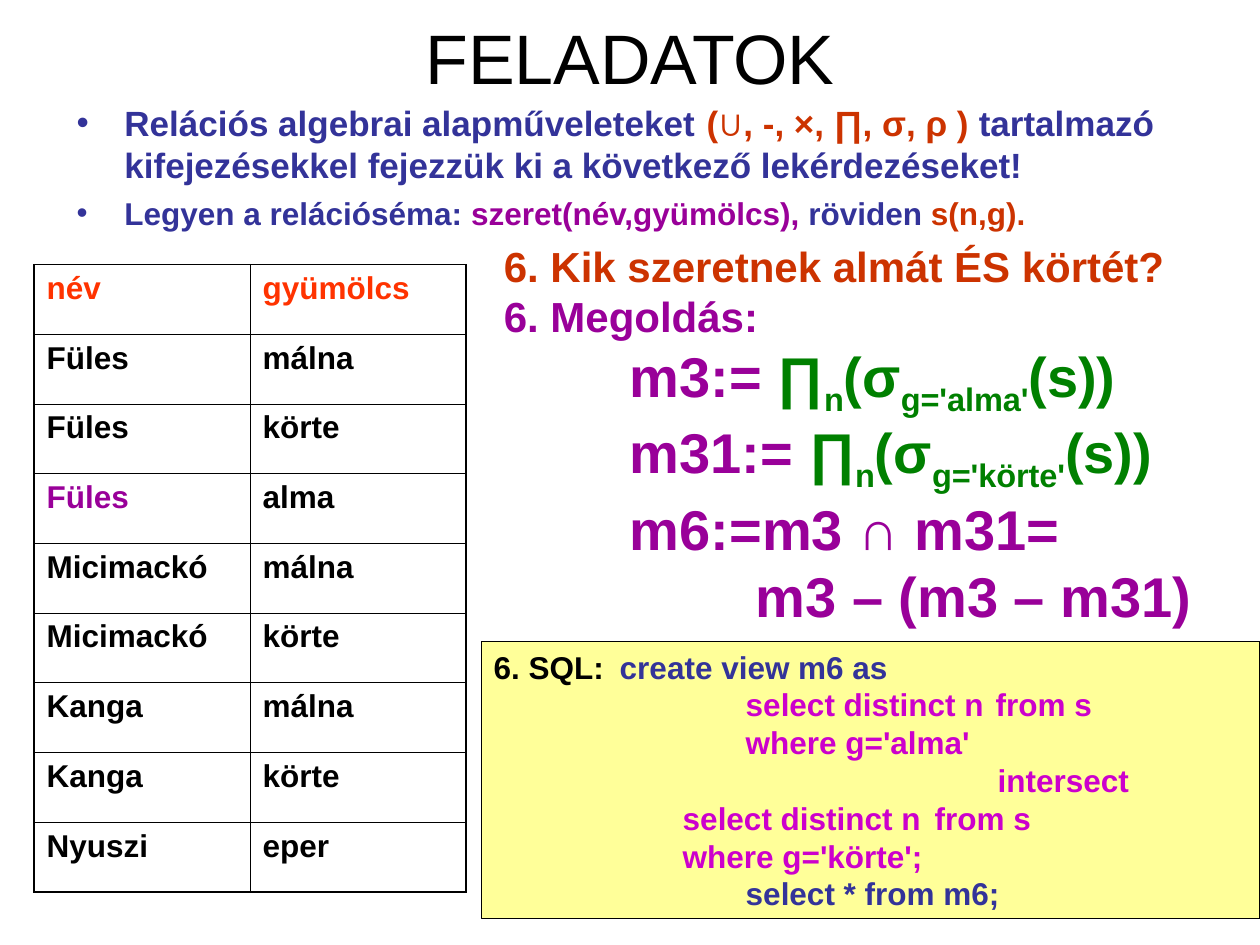
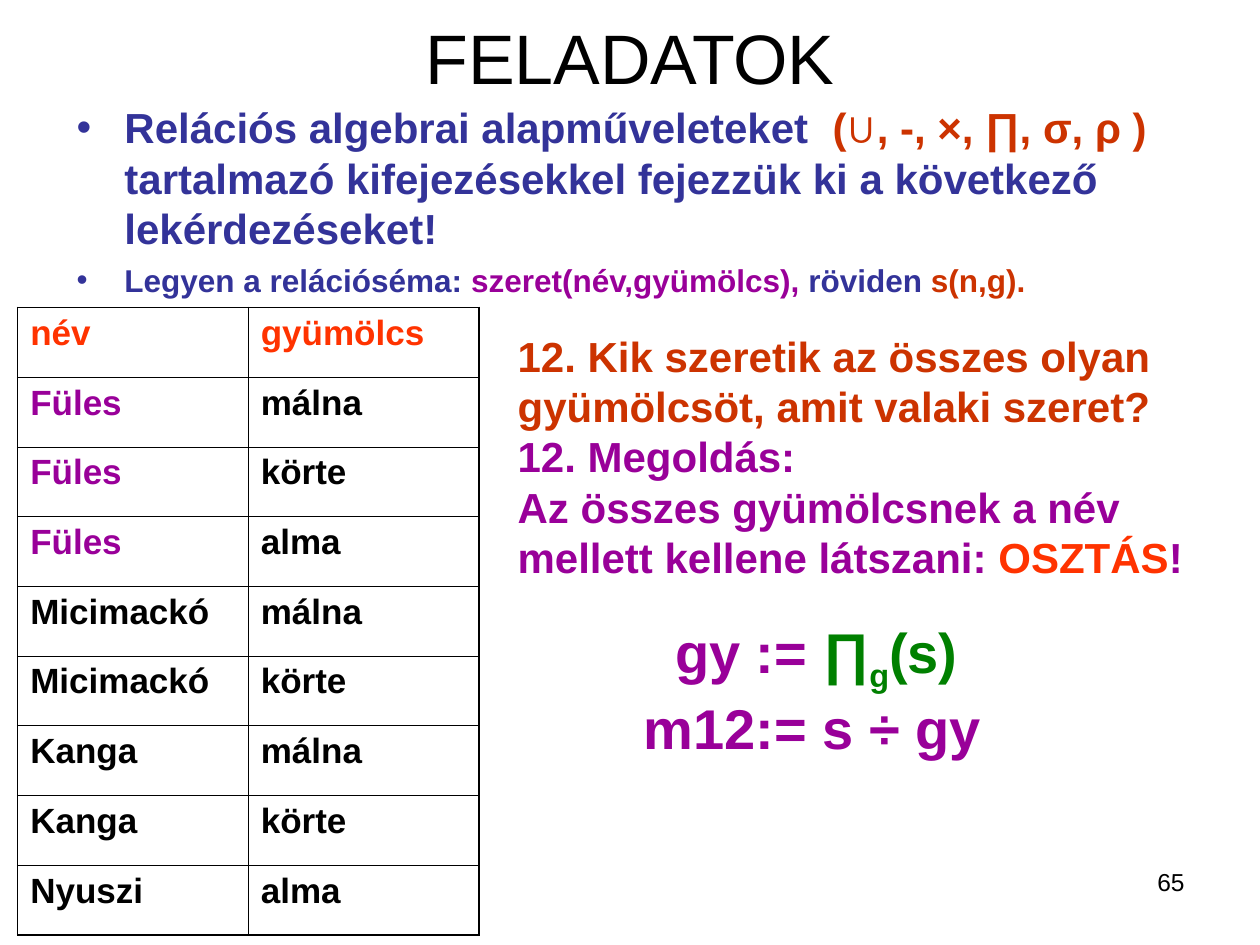
"""Build two exercise slides on relational algebra: a data table beside worked solutions."""
from lxml import etree
from pptx import Presentation, util as u
from pptx.dml.color import RGBColor
from pptx.enum import shapes, text
from pptx.oxml.ns import qn

BLACK = RGBColor(0x00, 0x00, 0x00)
BLUE = RGBColor(0x33, 0x33, 0x99)
RUST = RGBColor(0xCC, 0x33, 0x00)
RED = RGBColor(0xFF, 0x33, 0x00)
PURPLE = RGBColor(0x99, 0x00, 0x99)
GREEN = RGBColor(0x00, 0x80, 0x00)
MAGENTA = RGBColor(0xCC, 0x00, 0xCC)
YELLOW = RGBColor(0xFF, 0xFF, 0x99)

FONT = "Arial"
COLUMNS, ROWS = 100, 75
WIDTH, HEIGHT = u.Inches(10), u.Inches(7.5)
OUTER, INNER = u.Pt(1.08), u.Pt(0.45)
TITLE = "FELADATOK"
TITLE_AREA = (5, 3, 90, 3)
INTRO_AREA = (5.1, 7.6, 90, 67.4)
HEADINGS = ("név", "gyümölcs")


def line(*runs, size=24, indent=0, before=0, bullet=False):
    """Describe a paragraph whose runs are (text, colour) or (text, colour, "sub")."""
    return dict(runs=runs, size=size, indent=indent, before=before, bullet=bullet)


def formula(name, *parts, indent=1, before=0):
    """Describe a formula: a purple name, then green parts that alternate normal and subscript."""
    runs = [(part, GREEN, "sub") if i % 2 else (part, GREEN) for i, part in enumerate(parts)]
    return line((name, PURPLE), *runs, size=32, indent=indent, before=before)


def intro(size):
    """Describe the two bullets that open every exercise."""
    return [
        line(("Relációs algebrai alapműveleteket\t", BLUE), ("(∪, -, ×, ∏, σ, ρ )", RUST),
             (" tartalmazó kifejezésekkel fejezzük ki a következő lekérdezéseket!", BLUE),
             size=size, indent=0.38, bullet=True),
        line(("Legyen a relációséma: ", BLUE), ("szeret(név,gyümölcs), ", PURPLE),
             ("röviden ", BLUE), ("s(n,g).", RUST),
             size=18, indent=0.38, before=4.5, bullet=True),
    ]


def likes(last_fruit):
    """List who likes which fruit."""
    return [("Füles", "málna"), ("Füles", "körte"), ("Füles", "alma"),
            ("Micimackó", "málna"), ("Micimackó", "körte"),
            ("Kanga", "málna"), ("Kanga", "körte"), ("Nyuszi", last_fruit)]


def sql(code, colour, indent):
    """Describe one line of the query."""
    return line((code, colour), size=18, indent=indent)


EXERCISES = [
    dict(
        intro_size=20,
        table=dict(area=(2.7, 21, 34.3, 49.8), size=18, rows=likes("eper"), marked={3}),
        boxes=[
            dict(area=(39, 18.6, 59.9, 31.8), lines=[
                line(("6. Kik szeretnek almát ÉS körtét?", RUST)),
                line(("6. Megoldás:", PURPLE)),
                formula("m3:= ", "∏", "n", "(σ", "g='alma'", "(s))"),
                formula("m31:= ", "∏", "n", "(σ", "g='körte'", "(s))"),
                formula("m6:=m3 ∩ m31="),
                formula("m3 – (m3 – m31)", indent=2),
            ]),
            dict(area=(38.2, 50.9, 61.8, 22), fill=YELLOW, lines=[
                line(("6. SQL:\t", BLACK), ("create view m6 as", BLUE), size=18),
                sql("select distinct n\tfrom s", MAGENTA, 2),
                sql("where g='alma'", MAGENTA, 2),
                sql("intersect", MAGENTA, 4),
                sql("\tselect distinct n\tfrom s", MAGENTA, 1),
                sql("\twhere g='körte';", MAGENTA, 1),
                sql("select * from m6;", BLUE, 2),
            ]),
        ],
    ),
    dict(
        intro_size=24,
        table=dict(area=(1.4, 24.4, 36.6, 49.8), size=20, rows=likes("alma"), marked={1, 2, 3}),
        boxes=[
            dict(area=(40.1, 25.7, 59.9, 40.5), lines=[
                line(("12. Kik szeretik az összes olyan gyümölcsöt, amit valaki szeret?", RUST)),
                line(("12. Megoldás:", PURPLE)),
                line(("Az összes gyümölcsnek a név mellett kellene látszani: ", PURPLE),
                     ("OSZTÁS", RED), ("!", PURPLE)),
                formula("gy := ", "∏", "g", "(s)", indent=1.25, before=20),
                formula("m12:= s ÷ gy"),
            ]),
        ],
        number="65",
    ),
]


def place(area):
    """Turn grid columns and rows into slide lengths."""
    left, top, width, height = area
    return (round(left * WIDTH / COLUMNS), round(top * HEIGHT / ROWS),
            round(width * WIDTH / COLUMNS), round(height * HEIGHT / ROWS))


def apply(target, values):
    """Set each named attribute of the target."""
    for name, value in values.items():
        setattr(target, name, value)


def add_span(para, words, colour, size, bold=True):
    """Append one formatted run."""
    span = para.add_run()
    span.text = words
    apply(span.font, dict(name=FONT, size=u.Pt(size), bold=bold))
    span.font.color.rgb = colour
    return span


def add_bullet(props):
    """Add a blue round bullet to paragraph properties."""
    colour = etree.SubElement(props, qn("a:buClr"))
    etree.SubElement(colour, qn("a:srgbClr"), val=str(BLUE))
    etree.SubElement(props, qn("a:buFont"), typeface=FONT)
    etree.SubElement(props, qn("a:buChar"), char="•")


def add_tabs(props, indent):
    """Add a tab stop at every whole inch to the right of the indent."""
    tabs = etree.SubElement(props, qn("a:tabLst"))
    for inch in range(int(indent) + 1, int(indent) + 9):
        etree.SubElement(tabs, qn("a:tab"), pos=str(u.Inches(inch)), algn="l")


def write_lines(frame, lines):
    """Fill a text frame with the described paragraphs."""
    apply(frame, dict(word_wrap=True, auto_size=text.MSO_AUTO_SIZE.NONE,
                      vertical_anchor=text.MSO_ANCHOR.TOP))
    for index, item in enumerate(lines):
        para = frame.add_paragraph() if index else frame.paragraphs[0]
        props = para._p.get_or_add_pPr()
        margin = u.Inches(item["indent"])
        props.set("marL", str(margin))
        props.set("indent", str(-margin if item["bullet"] else 0))
        if item["bullet"]:
            add_bullet(props)
        add_tabs(props, item["indent"])
        apply(para, dict(alignment=text.PP_ALIGN.LEFT, space_before=u.Pt(item["before"])))
        for words, colour, *sub in item["runs"]:
            span = add_span(para, words, colour, item["size"])
            if sub:
                span._r.get_or_add_rPr().set("baseline", "-25000")


def add_box(page, area, lines, fill=None):
    """Add a text box, or an outlined rectangle when a fill is given."""
    if fill is None:
        box = page.shapes.add_textbox(*place(area))
    else:
        box = page.shapes.add_shape(shapes.MSO_SHAPE.RECTANGLE, *place(area))
        box.shadow.inherit = False
        box.fill.solid()
        box.fill.fore_color.rgb = fill
        box.line.color.rgb = BLACK
        box.line.width = u.Pt(0.75)
    write_lines(box.text_frame, lines)


def set_borders(cell, widths):
    """Draw black cell borders with the given width per side."""
    props = cell._tc.get_or_add_tcPr()
    for side, width in widths.items():
        edge = etree.SubElement(props, qn(f"a:ln{side}"), w=str(width))
        fill = etree.SubElement(edge, qn("a:solidFill"))
        etree.SubElement(fill, qn("a:srgbClr"), val=str(BLACK))


def add_fruit_table(page, area, size, rows, marked):
    """Add the table of names and fruits, with the names in marked rows in purple."""
    data = [HEADINGS, *rows]
    last_row, last_column = len(data) - 1, len(HEADINGS) - 1
    left, top, width, height = place(area)
    table = page.shapes.add_table(len(data), len(HEADINGS), left, top, width, height).table
    apply(table, dict(first_row=False, horz_banding=False))
    for r, record in enumerate(data):
        table.rows[r].height = height // len(data)
        for c, word in enumerate(record):
            cell = table.cell(r, c)
            set_borders(cell, dict(L=INNER if c else OUTER,
                                   R=OUTER if c == last_column else INNER,
                                   T=INNER if r else OUTER,
                                   B=OUTER if r == last_row else INNER))
            cell.fill.background()
            colour = RED if r == 0 else PURPLE if c == 0 and r in marked else BLACK
            add_span(cell.text_frame.paragraphs[0], word, colour, size)


def add_title(page):
    """Move and format the title placeholder."""
    title = page.shapes.title
    apply(title, dict(zip(("left", "top", "width", "height"), place(TITLE_AREA))))
    apply(title.text_frame, dict(auto_size=text.MSO_AUTO_SIZE.NONE,
                                 vertical_anchor=text.MSO_ANCHOR.MIDDLE))
    para = title.text_frame.paragraphs[0]
    para.alignment = text.PP_ALIGN.CENTER
    add_span(para, TITLE, BLACK, 40, bold=False)


def add_number(page, number):
    """Add the page number at the lower right."""
    frame = page.shapes.add_textbox(*place((71.7, 68.3, 23.3, 5.2))).text_frame
    frame.word_wrap = True
    para = frame.paragraphs[0]
    para.alignment = text.PP_ALIGN.RIGHT
    add_span(para, number, BLACK, 14, bold=False)


def main():
    """Build and save the deck."""
    deck = Presentation()
    apply(deck, dict(slide_width=WIDTH, slide_height=HEIGHT))
    for exercise in EXERCISES:
        page = deck.slides.add_slide(deck.slide_layouts.get_by_name("Title Only"))
        add_title(page)
        add_box(page, INTRO_AREA, intro(exercise["intro_size"]))
        add_fruit_table(page, **exercise["table"])
        for box in exercise["boxes"]:
            add_box(page, **box)
        if "number" in exercise:
            add_number(page, exercise["number"])
    deck.save("out.pptx")


if __name__ == "__main__":
    main()
